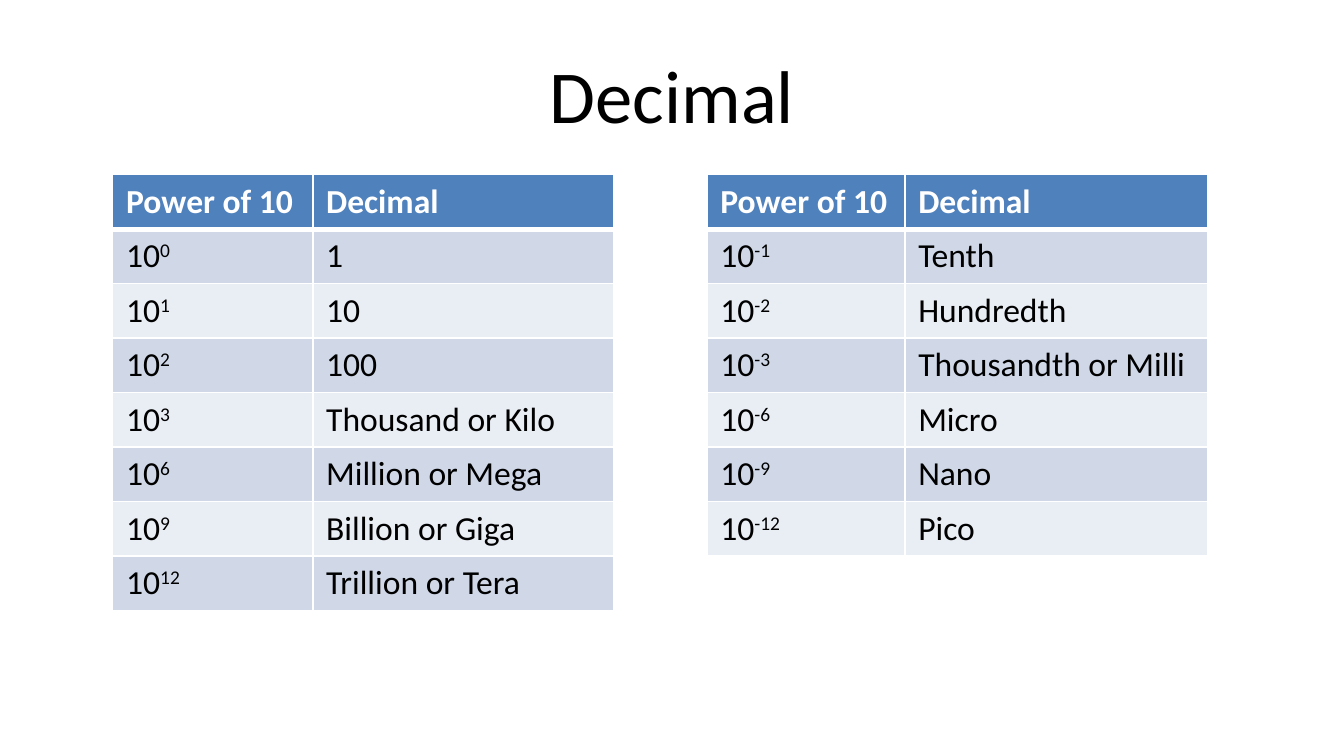
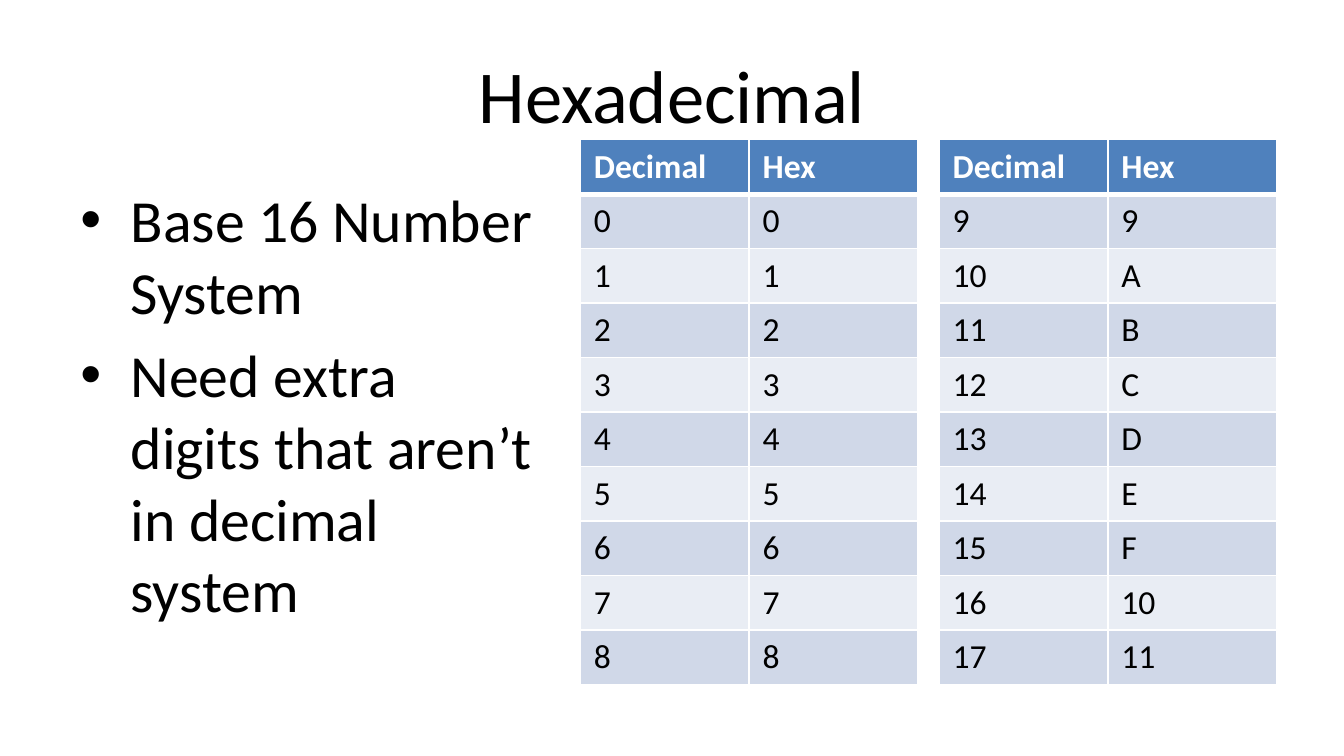
"""Build two slides on the decimal and hexadecimal number systems."""
from lxml import etree
from pptx import Presentation
from pptx.dml.color import RGBColor
from pptx.enum import text
from pptx.oxml.ns import qn
from pptx.util import Cm, Pt

FONT = "Calibri"
HUES = {"head": "4F81BD", "odd": "D0D8E8", "even": "E9EDF4",
        "white": "FFFFFF", "black": "000000"}
LARGE = [("Power of 10", "Decimal"), ("10^0", "1"), ("10^1", "10"), ("10^2", "100"),
         ("10^3", "Thousand or Kilo"), ("10^6", "Million or Mega"),
         ("10^9", "Billion or Giga"), ("10^12", "Trillion or Tera")]
SMALL = [("Power of 10", "Decimal"), ("10^-1", "Tenth"), ("10^-2", "Hundredth"),
         ("10^-3", "Thousandth or Milli"), ("10^-6", "Micro"),
         ("10^-9", "Nano"), ("10^-12", "Pico")]
HEX = [[("Decimal", "Hex")] + [(str(n), f"{n:X}") for n in range(start, start + 9)]
       for start in (0, 9)]
POINTS = ["Base 16 Number System", "Need extra digits that aren’t in decimal system"]
SLIDES = [
    {"title": "Decimal", "points": [], "top": 3.3,
     "tables": [(2.13, (3.78, 5.69), LARGE), (13.36, (3.74, 5.72), SMALL)]},
    {"title": "Hexadecimal", "points": POINTS, "top": 2.64,
     "tables": [(10.97 + 6.78 * i, (3.19, 3.19), rows) for i, rows in enumerate(HEX)]},
]
ROW = 1.03


def style(font, size, hue="black", bold=False):
    font.name, font.size, font.bold = FONT, Pt(size), bold
    font.color.rgb = RGBColor.from_string(HUES[hue])


def add_box(slide, place, lines, size):
    frame = slide.shapes.add_textbox(*map(Cm, place)).text_frame
    frame.word_wrap = True
    frame.text = "\n".join(lines)
    for para in frame.paragraphs:
        for run in para.runs:
            style(run.font, size)
    return frame


def add_title(slide, title):
    frame = add_box(slide, (1.27, 0.58, 22.86, 2.39), [title], 40)
    frame.vertical_anchor = text.MSO_ANCHOR.MIDDLE
    frame.paragraphs[0].alignment = text.PP_ALIGN.CENTER


def add_points(slide, points):
    frame = add_box(slide, (1.27, 3.33, 9.12, 9.42), points, 32)
    for i, para in enumerate(frame.paragraphs):
        if i:
            para.space_before = Pt(6.4)
        props = para._p.get_or_add_pPr()
        props.set("marL", str(Cm(0.95)))
        props.set("indent", str(-Cm(0.95)))
        etree.SubElement(props, qn("a:buFont"), typeface="Arial")
        etree.SubElement(props, qn("a:buChar"), char="•")


def add_edges(cell, head):
    props = cell._tc.get_or_add_tcPr()
    for side in "LRTB":
        width = Pt(3 if head and side == "B" else 1)
        line = etree.SubElement(props, qn(f"a:ln{side}"), w=str(width))
        fill = etree.SubElement(line, qn("a:solidFill"))
        etree.SubElement(fill, qn("a:srgbClr"), val=HUES["white"])


def fill_cell(cell, value, row):
    head = row == 0
    add_edges(cell, head)
    cell.fill.solid()
    band = "head" if head else ("even", "odd")[row % 2]
    cell.fill.fore_color.rgb = RGBColor.from_string(HUES[band])
    base, _, power = value.partition("^")
    para = cell.text_frame.paragraphs[0]
    para.text = base
    if power:
        run = para.add_run()
        run.text = power
        run._r.get_or_add_rPr().set("baseline", "30000")
    for run in para.runs:
        style(run.font, 18, "white" if head else "black", head)


def add_grid(slide, left, top, widths, rows):
    place = map(Cm, (left, top, sum(widths), ROW * len(rows)))
    table = slide.shapes.add_table(len(rows), len(widths), *place).table
    for col, width in zip(table.columns, widths):
        col.width = Cm(width)
    for r, values in enumerate(rows):
        table.rows[r].height = Cm(ROW)
        for c, value in enumerate(values):
            fill_cell(table.cell(r, c), value, r)


def main():
    deck = Presentation()
    deck.slide_width, deck.slide_height = Cm(25.4), Cm(14.29)
    for page in SLIDES:
        slide = deck.slides.add_slide(deck.slide_layouts[6])
        add_title(slide, page["title"])
        if page["points"]:
            add_points(slide, page["points"])
        for left, widths, rows in page["tables"]:
            add_grid(slide, left, page["top"], widths, rows)
    deck.save("out.pptx")


if __name__ == "__main__":
    main()
